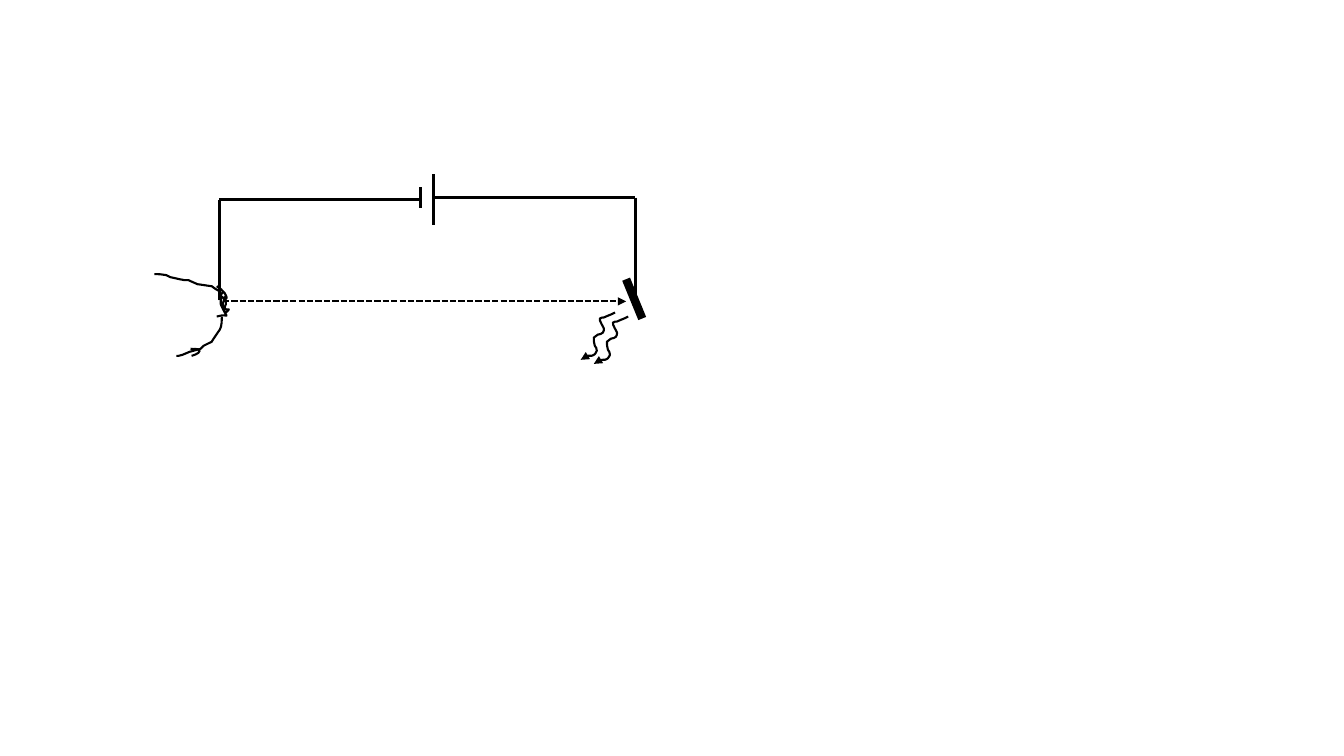
from dataclasses import dataclass

from lxml.etree import SubElement
from pptx import Presentation
from pptx.dml.color import RGBColor
from pptx.enum.dml import MSO_LINE
from pptx.enum.shapes import MSO_CONNECTOR
from pptx.oxml.ns import qn
from pptx.shapes.base import BaseShape
from pptx.shapes.shapetree import GroupShapes
from pptx.util import Inches, Pt

BLACK = "000000"
WIRE, THIN, PLATE = 2.25, 1.5, 6


@dataclass(frozen=True)
class Straight:
    start: tuple[float, float]
    end: tuple[float, float]
    width: float = WIRE
    dash: MSO_LINE | None = None
    arrow: bool = False


@dataclass(frozen=True)
class Curve:
    """Segments hold six numbers for a Bézier curve, two for a straight line."""
    start: tuple[float, float]
    segments: tuple[tuple[float, ...], ...]
    offset: tuple[float, float] = (0, 0)
    arrow: bool = False


LEFT_WIRE_TOP, RIGHT_WIRE_TOP, BEAM = 1.98, 1.96, 2.99
CIRCUIT = (
    Straight((2.17, LEFT_WIRE_TOP), (4.17, LEFT_WIRE_TOP)),
    Straight((4.3, RIGHT_WIRE_TOP), (6.3, RIGHT_WIRE_TOP)),
    Straight((4.17, 1.86), (4.17, 2.06)),
    Straight((4.3, 1.73), (4.3, 2.23)),
    Straight((2.18, 2.98), (2.18, LEFT_WIRE_TOP)),
)
COIL = Curve((2.15, 2.84), (
    (2.18, 2.86, 2.21, 2.88, 2.23, 2.91),
    (2.31, 3.05, 2.1, 2.86, 2.24, 2.98),
    (2.24, 2.99, 2.24, 3, 2.24, 3.02),
    (2.24, 3.03, 2.22, 3.05, 2.23, 3.06),
    (2.23, 3.07, 2.25, 3.07, 2.27, 3.07),
    (2.26, 3.08, 2.25, 3.1, 2.24, 3.1),
    (2.23, 3.1, 2.22, 3.09, 2.22, 3.07),
    (2.21, 3.05, 2.21, 3.03, 2.21, 3.01),
    (2.22, 2.98, 2.24, 2.93, 2.24, 2.93),
    (2.23, 2.92, 2.23, 2.89, 2.21, 2.9),
    (2.2, 2.9, 2.19, 2.93, 2.19, 2.94),
    (2.19, 2.97, 2.19, 3.02, 2.19, 3.02),
    (2.26, 3.18, 2.27, 3.12, 2.2, 3.13),
    (2.18, 3.13, 2.17, 3.14, 2.15, 3.14),
))
UPPER_LEAD = Curve((2.18, 2.89), (
    (2.15, 2.88, 2.13, 2.86, 2.1, 2.84),
    (2.09, 2.84, 1.97, 2.82, 1.96, 2.82),
    (1.96, 2.82, 1.89, 2.79, 1.87, 2.78),
    (1.84, 2.78, 1.81, 2.78, 1.78, 2.77),
    (1.75, 2.76, 1.72, 2.76, 1.69, 2.75),
    (1.67, 2.74, 1.66, 2.74, 1.65, 2.73),
    (1.58, 2.72, 1.59, 2.72, 1.53, 2.72),
))
LOWER_LEAD = Curve((2.2, 3.14), (
    (2.2, 3.17, 2.2, 3.24, 2.18, 3.27),
    (2.18, 3.27, 2.11, 3.37, 2.1, 3.39),
    (2.07, 3.4, 2.05, 3.42, 2.02, 3.43),
    (2.01, 3.44, 2, 3.45, 1.99, 3.46),
    (1.88, 3.49),
    (1.81, 3.52),
    (1.8, 3.52, 1.78, 3.53, 1.77, 3.53),
    (1.75, 3.53),
))
LEAD_HOOK = Curve((1.89, 3.46), (
    (1.92, 3.47, 1.97, 3.45, 1.98, 3.48),
    (1.98, 3.51, 1.9, 3.53, 1.9, 3.53),
))
TARGET = (
    Straight((6.3, RIGHT_WIRE_TOP), (6.3, 2.96)),
    Straight((2.21, BEAM), (6.21, BEAM), THIN, MSO_LINE.SQUARE_DOT, True),
    Straight((6.21, 2.77), (6.37, 3.16), PLATE),
)
RAY_START = (6.23, 3.14)
RAY_SEGMENTS = (
    (6.2, 3.16, 6.16, 3.17, 6.12, 3.19),
    (6.11, 3.19, 6.09, 3.19, 6.08, 3.2),
    (6.07, 3.22, 6.12, 3.29, 6.12, 3.3),
    (6.12, 3.31, 6.12, 3.33, 6.11, 3.34),
    (6.1, 3.36, 6.08, 3.35, 6.06, 3.36),
    (6.05, 3.37, 6.03, 3.38, 6.02, 3.39),
    (6.02, 3.42, 6.02, 3.44, 6.03, 3.47),
    (6.04, 3.48, 6.05, 3.5, 6.05, 3.52),
    (6.02, 3.59, 5.95, 3.55, 5.91, 3.59),
    (5.89, 3.61),
)
RAYS = tuple(Curve(RAY_START, RAY_SEGMENTS, offset, True)
             for offset in ((0, 0), (-0.13, -0.04)))


def color(value: str) -> RGBColor:
    return RGBColor.from_string(value)


def style_line(shape: BaseShape, width: float, dash: MSO_LINE | None, arrow: bool) -> None:
    shape.line.color.rgb = color(BLACK)
    for name, value in {"width": Pt(width), "dash_style": dash}.items():
        setattr(shape.line, name, value)
    if arrow:
        outline = shape.element.spPr.find(qn("a:ln"))
        SubElement(outline, qn("a:tailEnd"), type="triangle")


def draw_straight(shapes: GroupShapes, straight: Straight) -> None:
    ends = (Inches(value) for value in straight.start + straight.end)
    connector = shapes.add_connector(MSO_CONNECTOR.STRAIGHT, *ends)
    style_line(connector, straight.width, straight.dash, straight.arrow)
    SubElement(connector.element.spPr, qn("a:effectLst"))


def bend_segments(shape: BaseShape, curve: Curve) -> None:
    """Join each three line steps of a Bézier segment into one curve element."""
    steps = iter(list(shape.element.iter(qn("a:lnTo"))))
    for segment in curve.segments:
        first = next(steps)
        if len(segment) == 2:
            continue
        first.tag = qn("a:cubicBezTo")
        for _ in range(2):
            step = next(steps)
            first.append(step[0])
            step.getparent().remove(step)


def draw_curve(shapes: GroupShapes, curve: Curve) -> None:
    def place(x: float, y: float) -> tuple[int, int]:
        return Inches(x + curve.offset[0]), Inches(y + curve.offset[1])

    builder = shapes.build_freeform(*place(*curve.start))
    points = [place(*segment[i:i + 2])
              for segment in curve.segments for i in range(0, len(segment), 2)]
    builder.add_line_segments(points, close=False)
    shape = builder.convert_to_shape()
    bend_segments(shape, curve)
    shape.fill.background()
    style_line(shape, THIN, None, curve.arrow)
    shape.shadow.inherit = False


def main() -> None:
    presentation = Presentation()
    presentation.slide_width, presentation.slide_height = Inches(13.33), Inches(7.5)
    slide = presentation.slides.add_slide(presentation.slide_layouts[6])
    slide.background.fill.solid()
    slide.background.fill.fore_color.rgb = color("FFFFFF")
    tube = slide.shapes.add_group_shape().shapes
    filament = (COIL, UPPER_LEAD, LOWER_LEAD, LEAD_HOOK)
    for part in CIRCUIT + filament + TARGET + RAYS:
        if isinstance(part, Straight):
            draw_straight(tube, part)
        else:
            draw_curve(tube, part)
    presentation.save("out.pptx")


if __name__ == "__main__":
    main()
